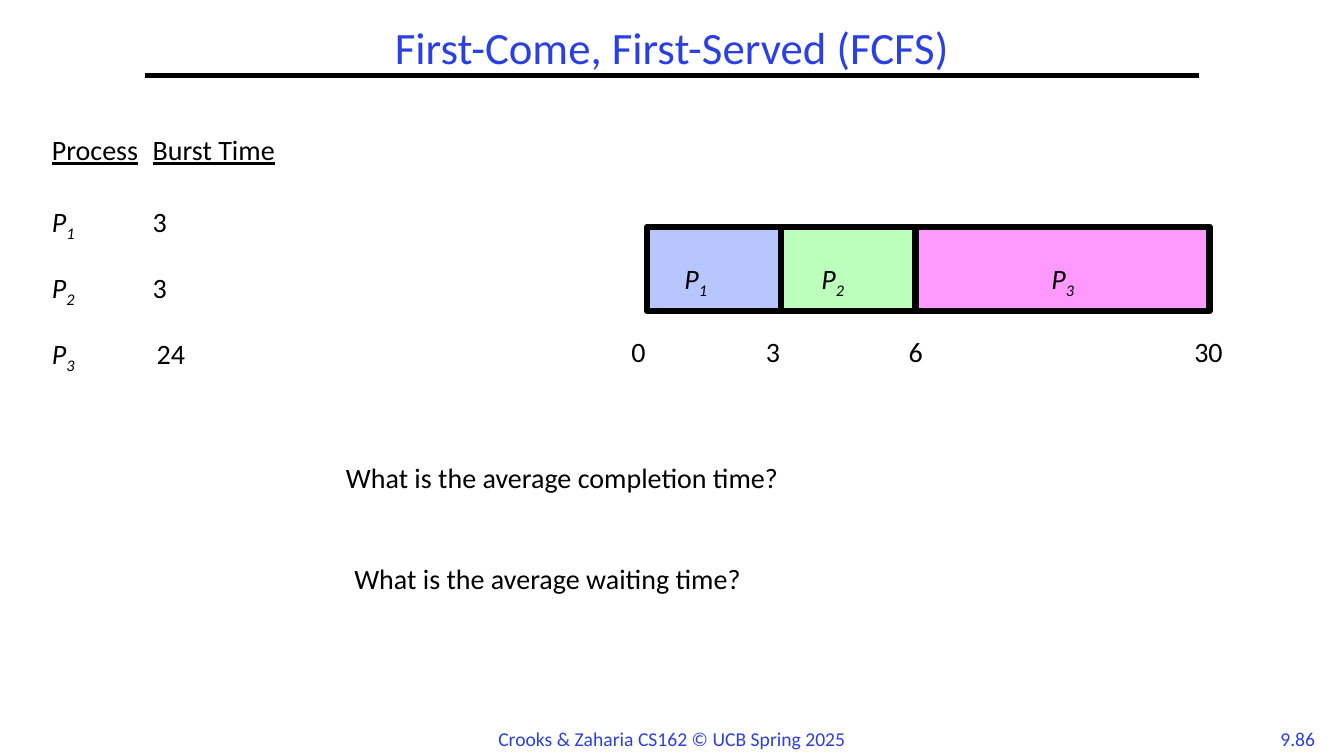
from dataclasses import dataclass

from lxml.etree import SubElement
from pptx import Presentation
from pptx.dml.color import RGBColor
from pptx.enum.shapes import MSO_CONNECTOR as Connector, MSO_SHAPE as Shape
from pptx.enum.text import MSO_ANCHOR as Anchor, PP_ALIGN as Align
from pptx.oxml.ns import qn
from pptx.util import Inches, Pt


@dataclass(frozen=True)
class Theme:
    font: str = "Calibri"
    accent: str = "2A40E2"
    ink: str = "000000"
    bars: tuple = ("B7C6FE", "BCFFBC", "FF99FF")
    title_size: int = 32
    body_size: int = 20
    footer_size: int = 14
    rule_width: float = 3
    bar_width: float = 4.5


THEME = Theme()
CELL = Inches(1) / 12
COLUMNS, ROWS = 160, 90

BODY = {"size": THEME.body_size, "color": THEME.ink}
FOOTER = {"size": THEME.footer_size, "color": THEME.accent}
TITLE = {"size": THEME.title_size, "color": THEME.accent}
ITALIC = {"italic": True}
UNDERLINE = {"underline": True}

BAR_TOP, BAR_HEIGHT = 27, 10
BAR_EDGES = (77, 93, 109, 144)
BAR_LABEL_COLUMNS = (80.3, 96.6, 124)
TIMES = {"0": 74, "3": 90, "6": 107, "30": 141}
QUESTIONS = (
    ("What is the average completion time?", 40, 55),
    ("What is the average waiting time?", 41, 67),
)
# Burst time, tab position in inches and space before in points
PROCESSES = (("3", 1, 29.5), ("3", 1, 25.5), ("24", 1.04, 25.5))


def grid(*cells):
    return [round(cell * CELL) for cell in cells]


def rgb(code):
    return RGBColor.from_string(code)


def add_span(para, text, style, marks=None, baseline=None):
    span = para.add_run()
    span.text = text
    font = span.font
    font.color.rgb = rgb(style["color"])
    values = {"name": THEME.font, "size": Pt(style["size"]), **(marks or {})}
    for name, value in values.items():
        setattr(font, name, value)
    if baseline:
        font._element.set("baseline", str(baseline))


def add_process_name(para, number):
    """Write an italic P with the process number as a subscript."""
    add_span(para, "P", BODY, ITALIC)
    add_span(para, str(number), BODY, ITALIC, baseline=-25000)


def add_box(page, area, wrap=True, anchor=Anchor.TOP, **para_format):
    """Add an empty text box and return its frame and first paragraph."""
    frame = page.shapes.add_textbox(*grid(*area)).text_frame
    frame.word_wrap = wrap
    frame.vertical_anchor = anchor
    para = frame.paragraphs[0]
    for name, value in para_format.items():
        setattr(para, name, value)
    return frame, para


def add_text(page, text, area, style, **box_format):
    para = add_box(page, area, **box_format)[1]
    add_span(para, text, style)


def add_tab(para, inches):
    tabs = SubElement(para._p.get_or_add_pPr(), qn("a:tabLst"))
    SubElement(tabs, qn("a:tab"), pos=str(Inches(inches)), algn="l")


def add_rule(page, left, right, row):
    rule = page.shapes.add_connector(
        Connector.STRAIGHT, *grid(left, row, right, row))
    rule.line.color.rgb = rgb(THEME.ink)
    rule.line.width = Pt(THEME.rule_width)
    SubElement(rule._element.spPr, qn("a:effectLst"))


def add_bar(page, left, right, color):
    bar = page.shapes.add_shape(
        Shape.RECTANGLE, *grid(left, BAR_TOP, right - left, BAR_HEIGHT))
    bar.shadow.inherit = False
    bar.fill.solid()
    bar.fill.fore_color.rgb = rgb(color)
    bar.line.color.rgb = rgb(THEME.ink)
    bar.line.width = Pt(THEME.bar_width)


def add_burst_times(page):
    frame, header = add_box(page, (5, 16, 60.5, 34), line_spacing=0.8)
    add_tab(header, 1)
    add_span(header, "Process", BODY, UNDERLINE)
    add_span(header, "\t", BODY)
    add_span(header, "Burst Time", BODY, UNDERLINE)
    for number, (burst, tab, space) in enumerate(PROCESSES, 1):
        para = frame.add_paragraph()
        para.line_spacing = 0.8
        para.space_before = Pt(space)
        add_tab(para, tab)
        add_process_name(para, number)
        add_span(para, "\t" + burst, BODY)


def add_schedule(page):
    for left, right, color in zip(BAR_EDGES, BAR_EDGES[1:], THEME.bars):
        add_bar(page, left, right, color)
    for time, column in TIMES.items():
        add_text(page, time, (column, 40, 7, 4), BODY, line_spacing=0.8)
    for number, column in enumerate(BAR_LABEL_COLUMNS, 1):
        para = add_box(page, (column, 31, 7, 4), line_spacing=0.8)[1]
        add_process_name(para, number)


def main():
    deck = Presentation()
    deck.slide_width, deck.slide_height = grid(COLUMNS, ROWS)
    page = deck.slides.add_slide(deck.slide_layouts[6])

    centred = {"wrap": False, "alignment": Align.CENTER}
    add_text(page, "9.86", (151, 86, 7, 4), FOOTER, **centred)
    add_rule(page, 17.3, 142.7, 9)
    add_text(page, "Crooks & Zaharia CS162 © UCB Spring 2025",
             (58, 86, 44, 4), FOOTER, **centred)
    add_text(page, "First-Come, First-Served (FCFS)", (0, 3, COLUMNS, 6), TITLE,
             anchor=Anchor.MIDDLE, alignment=Align.CENTER, line_spacing=0.9)
    add_burst_times(page)
    add_schedule(page)
    for question, column, row in QUESTIONS:
        add_text(page, question, (column, row, 88, 5), BODY, line_spacing=0.8)

    deck.save("out.pptx")


if __name__ == "__main__":
    main()
